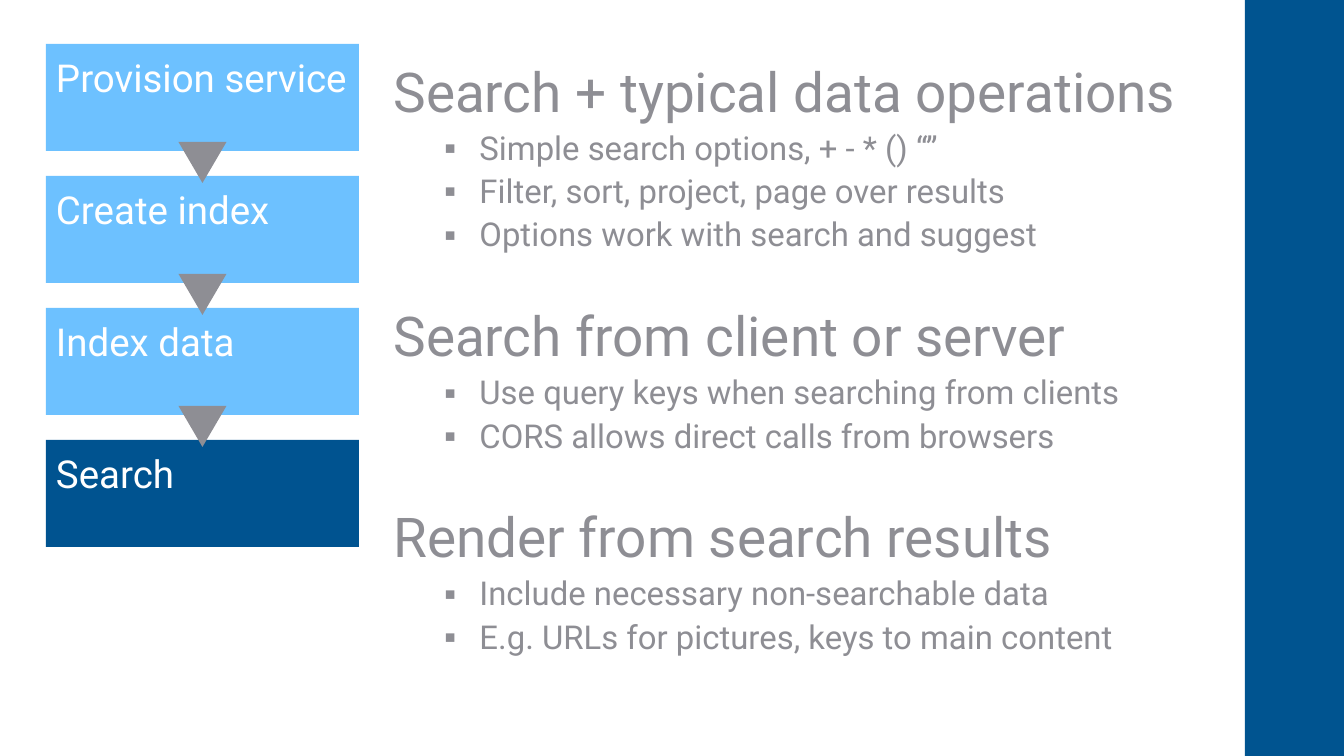
import pptx
import pptx.dml.color
import pptx.enum.shapes
import pptx.enum.text
import pptx.util
import lxml.etree

COLOURS = {
    "bar": "005490",
    "step": "6DC1FF",
    "current": "005390",
    "grey": "8E8E94",
    "white": "FFFFFF",
}
FONT = "Roboto"
STEPS = ["Provision service", "Create index", "Index data", "Search"]
TOPICS = [
    ("Search + typical data operations", [
        "Simple search options, + - * () “”",
        "Filter, sort, project, page over results",
        "Options work with search and suggest",
    ]),
    ("Search from client or server", [
        "Use query keys when searching from clients",
        "CORS allows direct calls from browsers",
    ]),
    ("Render from search results", [
        "Include necessary non-searchable data",
        "E.g. URLs for pictures, keys to main content",
    ]),
]

SCALE = 914400 / 134.4
SLIDE_WIDTH, SLIDE_HEIGHT = 1344, 756
BAR_LEFT = 1245
STEP_LEFT, STEP_TOP, STEP_WIDTH, STEP_HEIGHT = 46, 44, 313, 107
STEP_PITCH = 132
ARROW_WIDTH, ARROW_HEIGHT, ARROW_OVERLAP = 48, 41, 9
BODY_BOX = (380, 58, 934, 642)
BULLET_LEFT, BULLET_HANG = 86, 35
SHAPES = pptx.enum.shapes.MSO_SHAPE


def px(length):
    return pptx.util.Emu(round(length * SCALE))


def colour(name):
    return pptx.dml.color.RGBColor.from_string(COLOURS[name])


def add_block(slide, kind, left, top, width, height, fill):
    shape = slide.shapes.add_shape(kind, px(left), px(top), px(width), px(height))
    shape.shadow.inherit = False
    shape.fill.solid()
    shape.fill.fore_color.rgb = colour(fill)
    shape.line.fill.background()
    return shape


def set_bullet(paragraph, character):
    properties = paragraph._p.get_or_add_pPr()
    properties.set("marL", str(px(BULLET_LEFT) if character else 0))
    properties.set("indent", str(-px(BULLET_HANG) if character else 0))
    if character:
        elements = [("buSzPct", "val", "90000"), ("buFont", "typeface", FONT),
                    ("buChar", "char", character)]
    else:
        elements = [("buNone", None, None)]
    for tag, key, value in elements:
        element = lxml.etree.SubElement(properties, pptx.oxml.ns.qn("a:" + tag))
        if key:
            element.set(key, value)


def write(paragraph, text, *, size, fill, before=0, spacing=1.0):
    paragraph.alignment = pptx.enum.text.PP_ALIGN.LEFT
    paragraph.line_spacing = spacing
    paragraph.space_before = pptx.util.Pt(before)
    paragraph.space_after = pptx.util.Pt(0)
    run = paragraph.add_run()
    run.text = text
    run.font.name = FONT
    run.font.size = pptx.util.Pt(size)
    run.font.color.rgb = colour(fill)


def add_steps(slide):
    for index, label in enumerate(STEPS):
        fill = "current" if index == len(STEPS) - 1 else "step"
        shape = add_block(slide, SHAPES.RECTANGLE, STEP_LEFT,
                          STEP_TOP + index * STEP_PITCH, STEP_WIDTH, STEP_HEIGHT, fill)
        frame = shape.text_frame
        frame.word_wrap = True
        frame.vertical_anchor = pptx.enum.text.MSO_ANCHOR.TOP
        frame.margin_left = frame.margin_top = px(10)
        frame.margin_right = frame.margin_bottom = px(4)
        write(frame.paragraphs[0], label, size=20.6, fill="white")
    arrow_left = STEP_LEFT + (STEP_WIDTH - ARROW_WIDTH) / 2
    for index in range(len(STEPS) - 1):
        arrow_top = STEP_TOP + index * STEP_PITCH + STEP_HEIGHT - ARROW_OVERLAP
        arrow = add_block(slide, SHAPES.ISOSCELES_TRIANGLE, arrow_left, arrow_top,
                          ARROW_WIDTH, ARROW_HEIGHT, "grey")
        arrow._element.spPr.get_or_add_xfrm().set("flipV", "1")


def fill_topics(body):
    body.left, body.top, body.width, body.height = map(px, BODY_BOX)
    frame = body.text_frame
    frame.word_wrap = True
    frame.auto_size = pptx.enum.text.MSO_AUTO_SIZE.NONE
    frame.vertical_anchor = pptx.enum.text.MSO_ANCHOR.TOP
    for index, (heading, points) in enumerate(TOPICS):
        paragraph = frame.add_paragraph() if index else frame.paragraphs[0]
        set_bullet(paragraph, None)
        write(paragraph, heading, size=29.4, fill="grey",
              before=29.6 if index else 0, spacing=0.9)
        for point in points:
            paragraph = frame.add_paragraph()
            paragraph.level = 1
            set_bullet(paragraph, "▪")
            write(paragraph, point, size=17.6, fill="grey", before=4.2, spacing=0.9)


def main():
    presentation = pptx.Presentation()
    presentation.slide_width = px(SLIDE_WIDTH)
    presentation.slide_height = px(SLIDE_HEIGHT)
    slide = presentation.slides.add_slide(presentation.slide_layouts[1])
    title = slide.shapes.title._element
    title.getparent().remove(title)
    add_block(slide, SHAPES.RECTANGLE, BAR_LEFT, 0,
              SLIDE_WIDTH - BAR_LEFT, SLIDE_HEIGHT, "bar")
    add_steps(slide)
    fill_topics(slide.placeholders[1])
    presentation.save("out.pptx")


if __name__ == "__main__":
    main()
